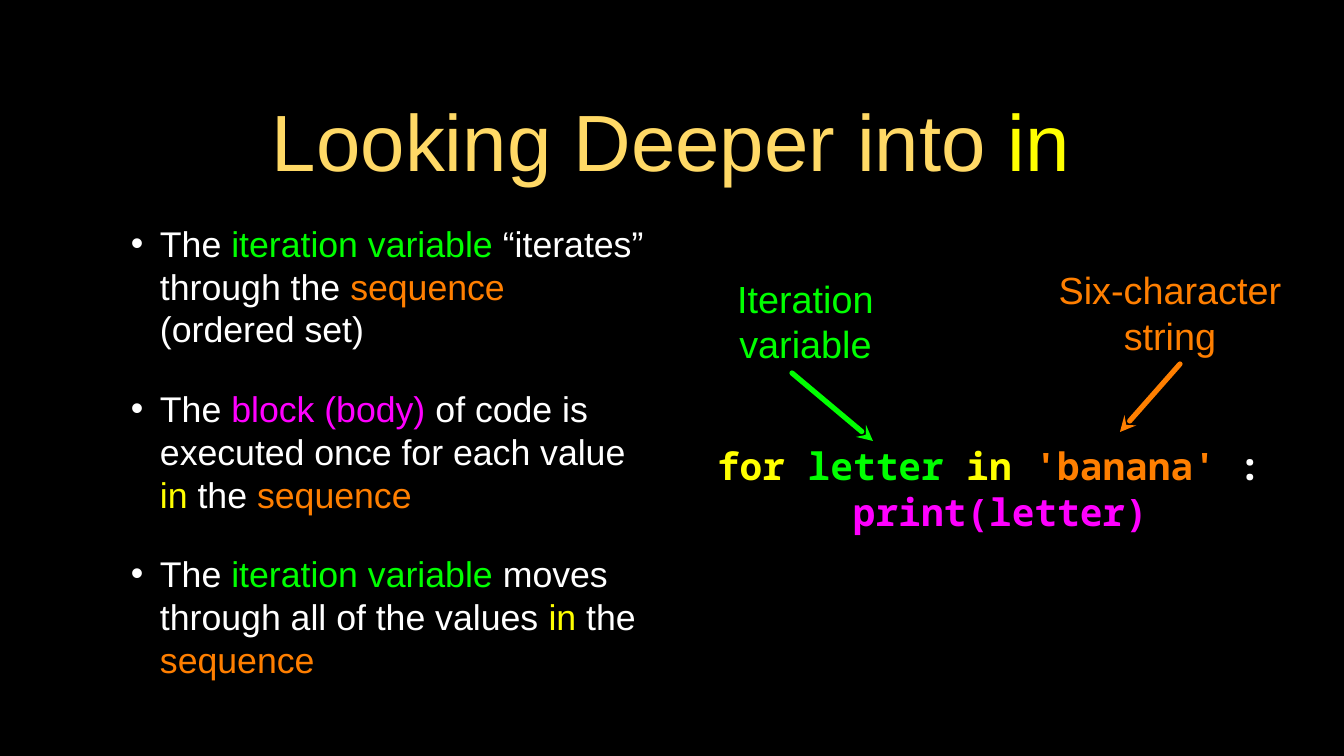
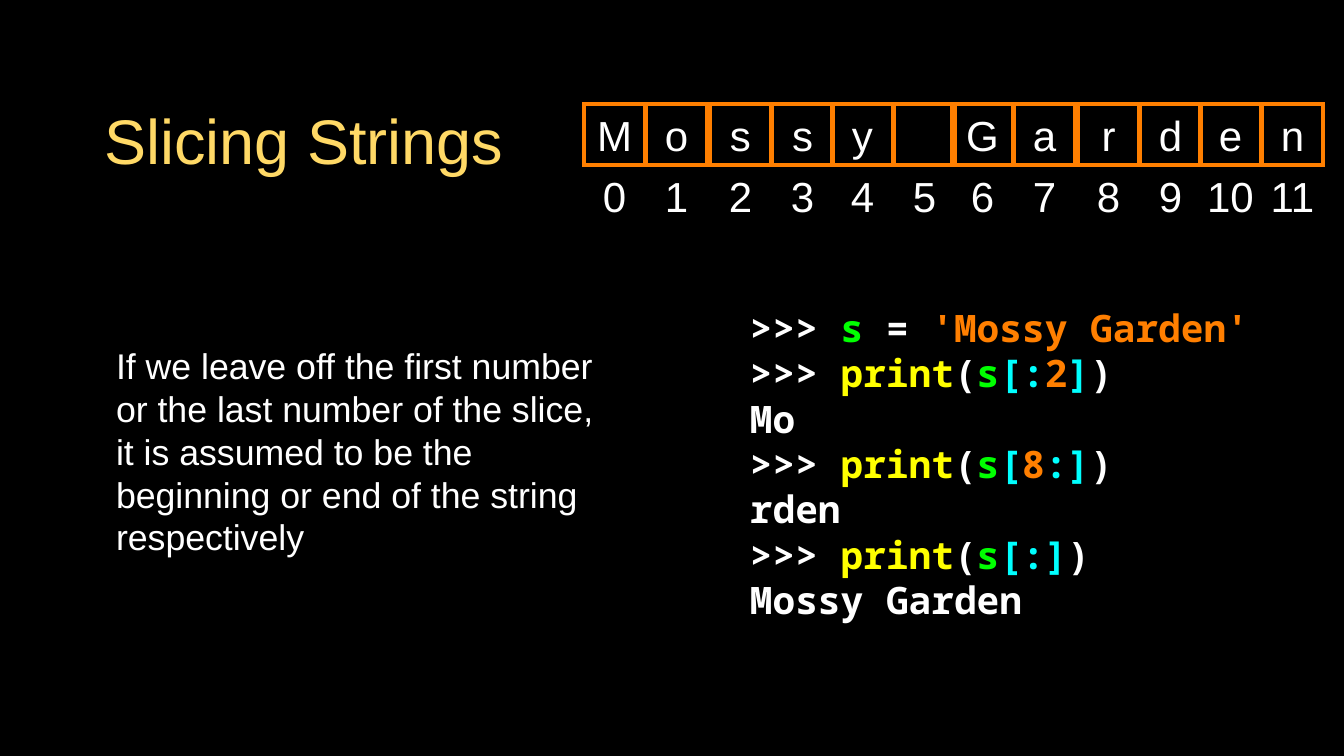
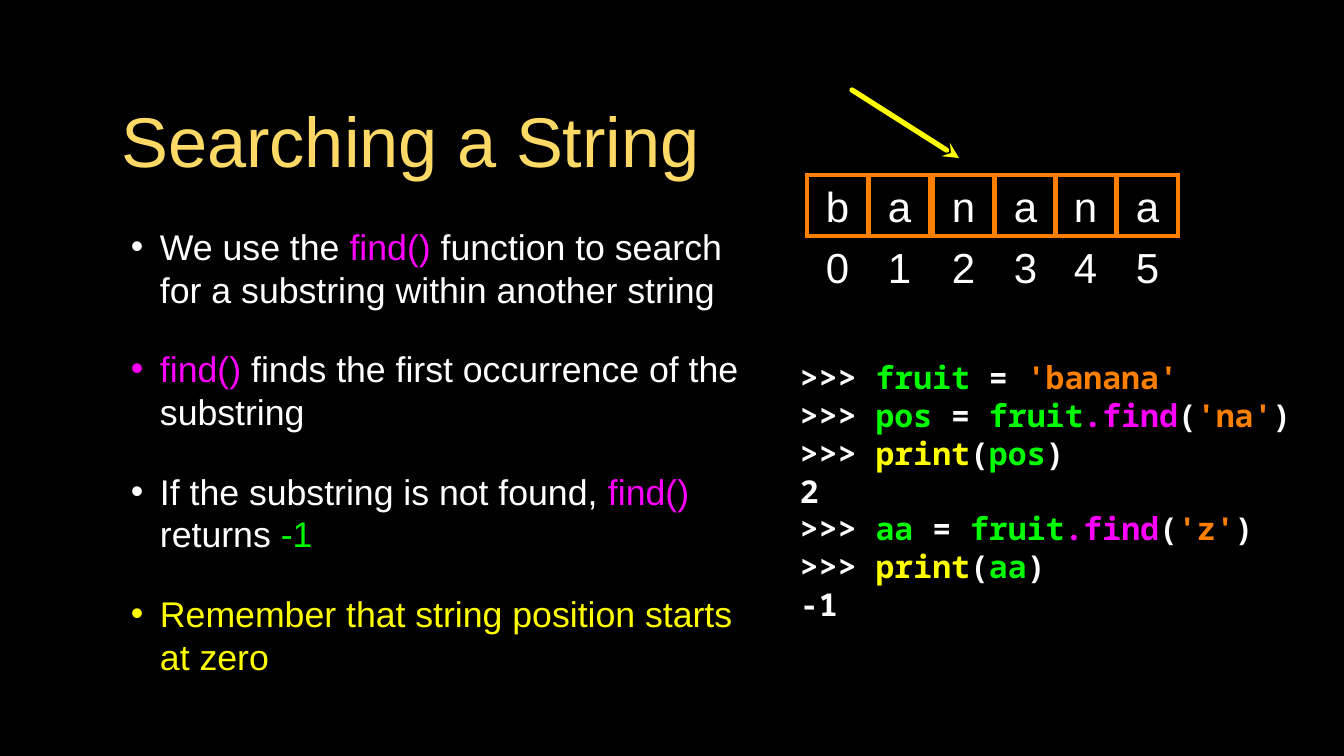
from dataclasses import dataclass

from lxml.etree import SubElement
from pptx import Presentation
from pptx.dml.color import RGBColor
from pptx.enum.shapes import MSO_CONNECTOR, MSO_SHAPE
from pptx.enum.text import MSO_ANCHOR, PP_ALIGN
from pptx.oxml.ns import qn
from pptx.util import Pt

EMU_PER_PX = 914400 / 75.6


@dataclass(frozen=True)
class Theme:
    background: str = "000000"
    title: str = "FFD966"
    white: str = "FFFFFF"
    green: str = "00FF00"
    orange: str = "FF7F00"
    yellow: str = "FFFF00"
    magenta: str = "FF00FF"
    cyan: str = "00FFFF"
    sans: str = "Arial"
    mono: str = "Noto Sans Mono"
    body_size: int = 34
    label_size: int = 36
    cell_size: int = 40
    leading: float = 1.2
    bullet_gap: int = 35
    arrow_width: int = 5
    cell_border: int = 4


T = Theme()
W, G, O, Y, M, C = T.white, T.green, T.orange, T.yellow, T.magenta, T.cyan

CELL = 61
CELL_STEPS = (0, 62, 126, 188, 248, 310)
CELL_GROUP = 368

PROMPT = (">>> ", W)
PHRASE = "Mossy Garden"


def px(n):
    return round(n * EMU_PER_PX)


def rgb(color):
    return RGBColor.from_string(color)


def new_slide(prs):
    s = prs.slides.add_slide(prs.slide_layouts[6])
    s.background.fill.solid()
    s.background.fill.fore_color.rgb = rgb(T.background)
    return s


def fill_paragraph(p, parts, size, font=T.sans, bold=False, align=PP_ALIGN.LEFT):
    p.text = parts[0][0]
    for text, _ in parts[1:]:
        p.add_run().text = text
    p.alignment = align
    p.line_spacing = Pt(T.leading * size)
    for r, (_, color) in zip(p.runs, parts):
        r.font.name = font
        r.font.size = Pt(size)
        r.font.bold = bold
        r.font.color.rgb = rgb(color)


def set_frame(tf, inset):
    tf.word_wrap = True
    tf.vertical_anchor = MSO_ANCHOR.MIDDLE
    tf.margin_left = tf.margin_right = px(inset)
    tf.margin_top = tf.margin_bottom = px(inset)


def add_text(s, box, lines, size, inset=0, **style):
    tf = s.shapes.add_textbox(*map(px, box)).text_frame
    set_frame(tf, inset)
    for i, parts in enumerate(lines):
        p = tf.add_paragraph() if i else tf.paragraphs[0]
        fill_paragraph(p, parts, size, **style)
    return tf


def add_title(s, width, size, parts):
    add_text(s, (95, 69, width, 141), [parts], size, inset=3, align=PP_ALIGN.CENTER)


def add_body(s, width, lines):
    return add_text(s, (95, 215, width, 472), lines, T.body_size, inset=3)


def indent(p, left, first=0):
    pPr = p._p.get_or_add_pPr()
    pPr.set("marL", str(px(left)))
    pPr.set("indent", str(px(first)))
    return pPr


def add_bullets(s, width, lines):
    tf = add_body(s, width, lines)
    for i, (p, parts) in enumerate(zip(tf.paragraphs, lines)):
        if i:
            p.space_before = Pt(T.bullet_gap)
        pPr = indent(p, 62, -29)
        SubElement(SubElement(pPr, qn("a:buClr")), qn("a:srgbClr"), val=parts[0][1])
        SubElement(pPr, qn("a:buFont"), typeface=T.sans)
        SubElement(pPr, qn("a:buChar"), char="•")


def add_label(s, box, text, color):
    add_text(s, box, [[(text, color)]], T.label_size, align=PP_ALIGN.CENTER)


def add_code(s, box, size, lines):
    return add_text(s, box, lines, size, font=T.mono, bold=True)


def add_arrow(s, tip, tail, color):
    cn = s.shapes.add_connector(MSO_CONNECTOR.STRAIGHT, *map(px, tip + tail))
    cn.line.color.rgb = rgb(color)
    cn.line.width = Pt(T.arrow_width)
    spPr = cn._element.spPr
    ln = spPr.find(qn("a:ln"))
    ln.set("cap", "rnd")
    SubElement(ln, qn("a:headEnd"), type="stealth")
    SubElement(spPr, qn("a:effectLst"))


def add_cell(s, left, top, letter):
    sp = s.shapes.add_shape(MSO_SHAPE.RECTANGLE, *map(px, (left, top, CELL, CELL)))
    sp.shadow.inherit = False
    sp.fill.background()
    sp.line.color.rgb = rgb(O)
    sp.line.width = Pt(T.cell_border)
    SubElement(sp._element.spPr.find(qn("a:ln")), qn("a:miter"), lim="800000")
    if letter.strip():
        set_frame(sp.text_frame, 0)
        fill_paragraph(sp.text_frame.paragraphs[0], [(letter, W)], T.cell_size,
                       align=PP_ALIGN.CENTER)


def add_indexed_string(s, left, top, word):
    for i, letter in enumerate(word):
        group, step = divmod(i, len(CELL_STEPS))
        x = left + group * CELL_GROUP + CELL_STEPS[step]
        add_text(s, (x, top + CELL, CELL, CELL), [[(str(i), W)]], T.cell_size,
                 align=PP_ALIGN.CENTER)
        add_cell(s, x, top, letter)


def print_slice(*inside):
    return [PROMPT, ("print", Y), ("(", W), ("s", G), *inside, (")", W)]


def print_name(name):
    return [PROMPT, ("print", Y), ("(", W), (name, G), (")", W)]


def assign_find(name, target):
    return [PROMPT, (name + " ", G), ("= ", W), ("fruit", G), (".find", M),
            ("(", W), (target, O), (")", W)]


def build_in_slide(prs):
    s = new_slide(prs)
    add_title(s, 1152, 76, [("Looking Deeper into ", T.title), ("in", Y)])
    add_bullets(s, 553, [
        [("The ", W), ("iteration variable ", G), ("“iterates” through the ", W),
         ("sequence ", O), ("(ordered set)", W)],
        [("The ", W), ("block (body)", M),
         (" of code is executed once for each value ", W),
         ("in", Y), (" the ", W), ("sequence", O)],
        [("The ", W), ("iteration variable ", G),
         ("moves through all of the values ", W),
         ("in", Y), (" the ", W), ("sequence", O)],
    ])
    tf = add_code(s, (717, 432, 595, 113), 36, [
        [("for ", Y), ("letter ", G), ("in ", Y), ("'banana' ", O), (":", W)],
        [("print(letter)", M)],
    ])
    indent(tf.paragraphs[1], 136)
    add_label(s, (671, 268, 269, 106), "Iteration variable", G)
    add_label(s, (1015, 268, 310, 89), "Six-character string", O)
    add_arrow(s, (873, 441), (792, 373), G)
    add_arrow(s, (1120, 432), (1180, 364), O)


def build_slicing_slide(prs):
    s = new_slide(prs)
    add_code(s, (750, 303, 568, 321), 36, [
        [PROMPT, ("s", G), (" = ", W), (f"'{PHRASE}'", O)],
        print_slice(("[:", C), ("2", O), ("]", C)),
        [(PHRASE[:2], W)],
        print_slice(("[", C), ("8", O), (":]", C)),
        [(PHRASE[8:], W)],
        print_slice(("[:]", C)),
        [(PHRASE, W)],
    ])
    add_title(s, 418, 60, [("Slicing Strings", T.title)])
    tf = add_body(s, 510, [[(
        "If we leave off the first number or the last number of the slice, "
        "it is assumed to be the beginning or end of the string respectively", W)]])
    indent(tf.paragraphs[0], 18)
    add_indexed_string(s, 584, 104, PHRASE)


def build_searching_slide(prs):
    s = new_slide(prs)
    add_title(s, 631, 67, [("Searching a String", T.title)])
    add_bullets(s, 652, [
        [("We use the", W), (" find()", M),
         (" function to search for a substring within another string", W)],
        [("find()", M), (" finds the first occurrence of the substring", W)],
        [("If the substring is not found, ", W), ("find()", M),
         (" returns ", W), ("-1", G)],
        [("Remember that string position starts at zero", Y)],
    ])
    add_code(s, (800, 330, 516, 321), 30, [
        [PROMPT, ("fruit ", G), ("=", W), (" 'banana'", O)],
        assign_find("pos", "'na'"),
        print_name("pos"),
        [("2", W)],
        assign_find("aa", "'z'"),
        print_name("aa"),
        [("-1", W)],
    ])
    add_arrow(s, (959, 158), (852, 90), Y)
    add_indexed_string(s, 807, 175, "banana")


def main():
    prs = Presentation()
    prs.slide_width, prs.slide_height = px(1344), px(756)
    build_in_slide(prs)
    build_slicing_slide(prs)
    build_searching_slide(prs)
    prs.save("out.pptx")


if __name__ == "__main__":
    main()
